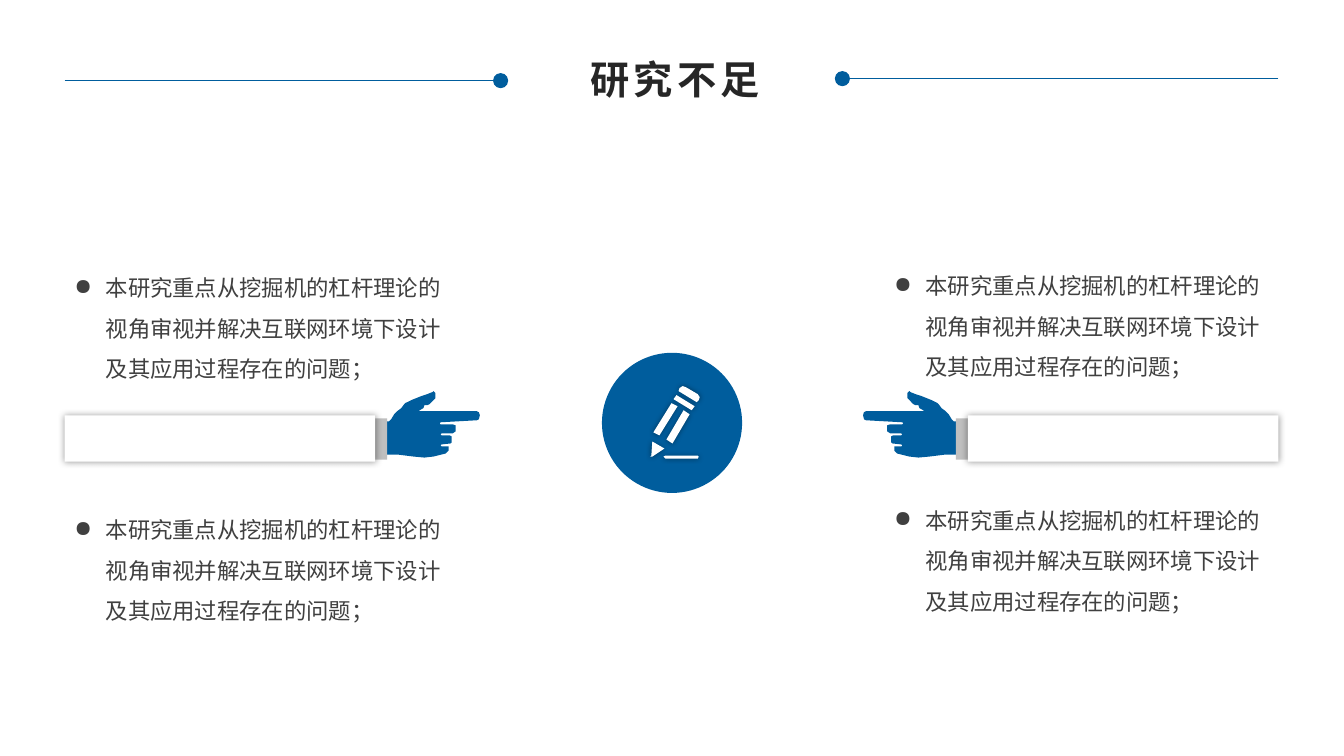
from lxml import etree
from pptx import Presentation
from pptx import util as u
from pptx.dml.color import RGBColor
from pptx.enum import shapes, text
from pptx.oxml.ns import qn

# The grid has 1333 columns and 750 rows.
CELL = u.Inches(0.01)
COLUMNS, ROWS = 1333, 750
MIRROR = 1332  # a column and its mirrored partner add up to this

COLORS = {"blue": "005D9D", "white": "FFFFFF", "cuff": "BFBFBF",
          "title": "262626", "body": "404040", "shadow": "000000"}
TITLE = "研究不足"
BODY = "本研究重点从挖掘机的杠杆理论的视角审视并解决互联网环境下设计及其应用过程存在的问题；"
BODY_SPOTS = [(64, 254), (64, 494), (877, 252), (877, 485)]

HAND = [(380, 418), (386, 418), (388, 416), (391, 411), (394, 408), (398, 405),
        (401, 401), (402, 400), (408, 397), (413, 395), (418, 393), (424, 391),
        (429, 389), (430, 388), (432, 390), (432, 395), (426, 401), (424, 402),
        (421, 402), (420, 405), (418, 406), (415, 408), (473, 408), (475, 409),
        (476, 412), (475, 416), (473, 417), (437, 419), (436, 420), (437, 421),
        (449, 421), (452, 422), (452, 428), (449, 430), (438, 430), (437, 431),
        (438, 432), (446, 432), (448, 433), (448, 439), (447, 440), (438, 441),
        (437, 442), (438, 443), (445, 443), (445, 447), (442, 450), (430, 453),
        (421, 454), (410, 453), (394, 451), (380, 451)]
PENCIL = [
    [(674, 385), (677, 383), (680, 384), (692, 391), (694, 394), (693, 397),
     (691, 399), (673, 388)],
    [(671, 392), (668, 396), (686, 407), (689, 403)],
    [(646, 452), (647, 438), (659, 445), (647, 453), (645, 453)],
    [(648, 429), (666, 400), (672, 403), (654, 432)],
    [(661, 436), (678, 407), (684, 411), (667, 440)],
    [(660, 452), (692, 452), (693, 453), (692, 455), (660, 455), (658, 453)],
]


def cells(*numbers):
    return [round(number * CELL) for number in numbers]


def color(name):
    return RGBColor.from_string(COLORS[name])


def paint(shape, fill, blur=0):
    """Fill without outline; a blur in points adds a soft shadow."""
    shape.fill.solid()
    shape.fill.fore_color.rgb = color(fill)
    shape.line.fill.background()
    shape.shadow.inherit = False
    if blur:
        effects = shape._element.spPr.find(qn("a:effectLst"))
        glow = etree.SubElement(effects, qn("a:outerShdw"), blurRad=str(u.Pt(blur)),
                                dist="0", dir="0", algn="ctr", rotWithShape="0")
        tint = etree.SubElement(glow, qn("a:srgbClr"), val=COLORS["shadow"])
        etree.SubElement(tint, qn("a:alpha"), val="40000")


def add_preset(page, kind, left, top, width, height, fill, blur=0):
    shape = page.shapes.add_shape(kind, *cells(left, top, width, height))
    paint(shape, fill, blur)


def add_outline(page, contours, fill, blur=0):
    first, *others = contours
    builder = page.shapes.build_freeform(*first[0], scale=CELL)
    builder.add_line_segments(first[1:], close=True)
    for contour in others:
        builder.move_to(*contour[0])
        builder.add_line_segments(contour[1:], close=True)
    paint(builder.convert_to_shape(), fill, blur)


def add_rule(page, start, end, row):
    rule = page.shapes.add_connector(shapes.MSO_CONNECTOR.STRAIGHT,
                                     *cells(start, row, end, row))
    rule.line.color.rgb = color("blue")
    rule.line.width = u.Pt(0.25)
    etree.SubElement(rule._element.spPr, qn("a:effectLst"))


def add_side(page, rule_row, mirrored):
    """Draw one half: title rule with dot, and the arm pointing inwards."""
    def column(x, width=0):
        return MIRROR - x - width if mirrored else x

    rect, oval = shapes.MSO_SHAPE.RECTANGLE, shapes.MSO_SHAPE.OVAL
    add_rule(page, column(64), column(489), rule_row)
    add_preset(page, oval, column(489, 15), rule_row - 7.5, 15, 15, "blue")
    add_outline(page, [[(column(x), y) for x, y in HAND]], "blue")
    add_preset(page, rect, column(372, 12), 415, 12, 41, "cuff")
    add_preset(page, rect, column(64, 308), 412, 308, 46, "white", blur=5)


def set_title(page):
    title = page.shapes.title
    title.left, title.top, title.width, title.height = cells(572, 50, 195, 57)
    frame = title.text_frame
    frame.text = TITLE
    frame.word_wrap = False
    frame.vertical_anchor = text.MSO_ANCHOR.MIDDLE
    para = frame.paragraphs[0]
    para.alignment = text.PP_ALIGN.CENTER
    span = para.runs[0]
    span.font.name, span.font.size, span.font.bold = "Arial", u.Pt(28), True
    span.font.color.rgb = color("title")
    span._r.get_or_add_rPr().set("spc", "300")


def add_bullet_text(page, left, top):
    box = page.shapes.add_textbox(*cells(left, top, 401, 131))
    frame = box.text_frame
    frame.word_wrap = True
    frame.auto_size = text.MSO_AUTO_SIZE.SHAPE_TO_FIT_TEXT
    frame.text = BODY
    para = frame.paragraphs[0]
    props = para._p.get_or_add_pPr()
    indent = cells(31)[0]
    props.set("marL", str(indent))
    props.set("indent", str(-indent))
    etree.SubElement(props, qn("a:buChar"), char="●")
    para.line_spacing = 1.5
    span = para.runs[0]
    span.font.name, span.font.size = "Noto Sans CJK SC", u.Pt(16)
    span.font.color.rgb = color("body")
    etree.SubElement(span._r.get_or_add_rPr(), qn("a:ea"), typeface="Noto Sans CJK SC")


def main():
    deck = Presentation()
    deck.slide_width, deck.slide_height = cells(COLUMNS, ROWS)
    page = deck.slides.add_slide(deck.slide_layouts.get_by_name("Title Only"))
    set_title(page)
    add_side(page, 80, mirrored=False)
    add_side(page, 78, mirrored=True)
    add_preset(page, shapes.MSO_SHAPE.OVAL, 597, 350, 139, 139, "blue")
    add_outline(page, PENCIL, "white", blur=4)
    for left, top in BODY_SPOTS:
        add_bullet_text(page, left, top)
    deck.save("out.pptx")


if __name__ == "__main__":
    main()
